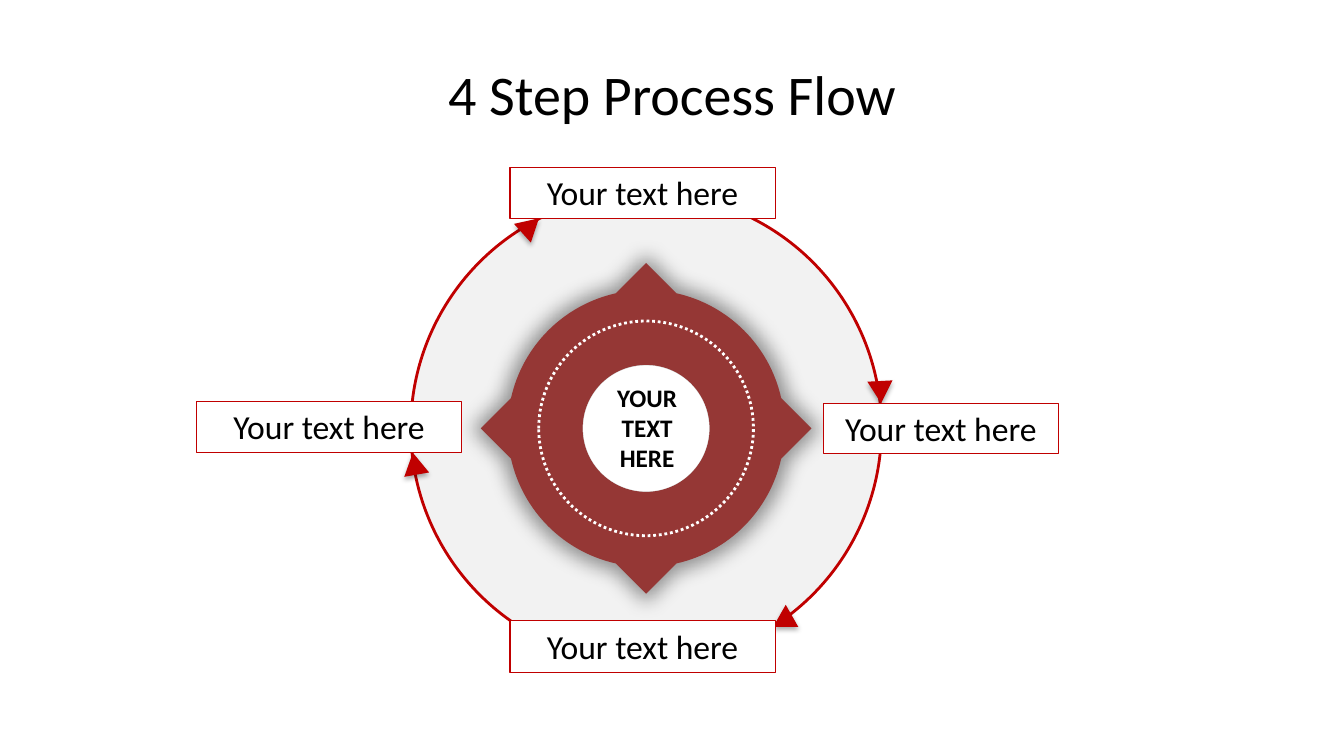
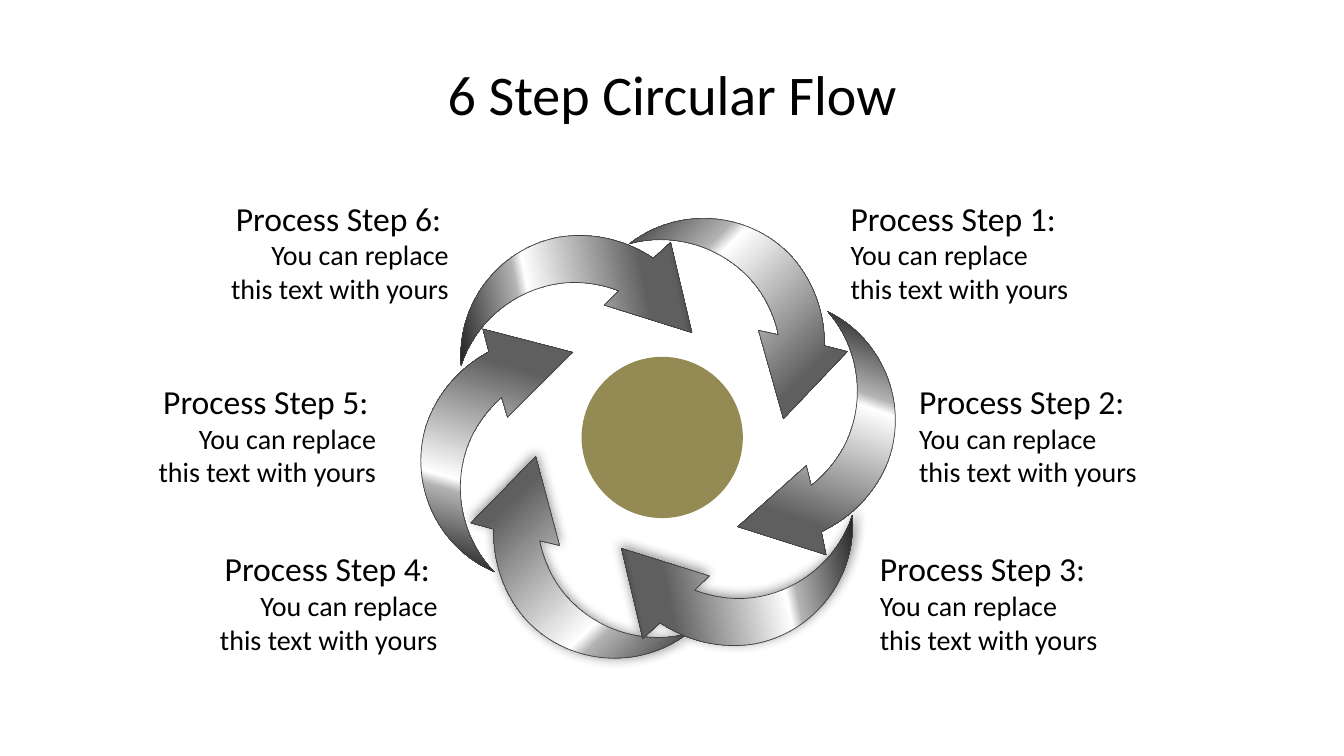
from math import atan2, cos, hypot, pi, sin, tan

from lxml.etree import SubElement
from pptx import Presentation
from pptx.dml.color import RGBColor
from pptx.enum.dml import MSO_LINE
from pptx.enum.shapes import MSO_SHAPE
from pptx.enum.text import MSO_ANCHOR, MSO_AUTO_SIZE, PP_ALIGN
from pptx.oxml.ns import qn
from pptx.util import Inches, Pt

# Shared look
FONT = "Calibri"
HEX = {"ink": "000000", "white": "FFFFFF", "red": "C00000", "brick": "953735",
       "pale": "F2F2F2", "olive": "948A54", "edge": "404040"}
WIDE, HIGH = 40 / 3, 7.5
TITLE = ((WIDE - 12) / 2, 0.3, 12, 1.25)

# Slide 1: hub, labels and arrow tips
HUB = (6.41, 4.25)
LABEL = "Your text here"
LABELS = [(5.06, 1.66, 2.63, 0.51), (8.17, 4, 2.33, 0.5),
          (5.06, 6.16, 2.63, 0.51), (1.95, 3.98, 2.63, 0.51)]
TIPS = [(5.14, 2.13, 48), (8.61, 3.78, 177), (7.67, 6, 0), (3.99, 4.49, 350)]
# Shadows: alpha %, blur pt, distance pt, angle, scale %
TIP_SHADE = (32, 3.5, 2.2, 90, 100)
HUB_SHADE = (40, 14, 0, 0, 105)

# Slide 2: step texts (left, top, heading, align)
NOTE = "You can replace this text with yours"
STEPS = [(8.34, 1.91, "Process Step 1:", PP_ALIGN.LEFT),
         (9.02, 3.73, "Process Step 2:", PP_ALIGN.LEFT),
         (8.63, 5.39, "Process Step 3:", PP_ALIGN.LEFT),
         (2.03, 5.39, "Process Step 4: ", PP_ALIGN.RIGHT),
         (1.42, 3.73, "Process Step 5: ", PP_ALIGN.RIGHT),
         (2.14, 1.91, "Process Step 6: ", PP_ALIGN.RIGHT)]

# Slide 2: curved arrows (left, top, turn, shade), back to front
ARROW_SHADE = (40, 8, 0, 0, 102)
BACK = [(5.09, 4.62, 316.2, ARROW_SHADE), (5.02, 1.79, 78.6, None),
        (7.67, 3.18, 199.5, None), (6.82, 4.64, 258.6, ARROW_SHADE),
        (6.79, 1.76, 135.4, None)]
FRONT = [(4.19, 3.28, 16.4, None)]
# One upright arrow: single points are lines, triples are Bezier curves
OUTLINE = [[(1.19, 0)], [(0.75, 0.8)], [(0.64, 0.63)],
           [(0.52, 0.82), (0.45, 1.04), (0.45, 1.26)],
           [(0.45, 1.71), (0.7, 2.11), (1.06, 2.31)],
           [(0.46, 2.24), (0, 1.73), (0, 1.12)],
           [(0.01, 0.77), (0.16, 0.46), (0.39, 0.23)], [(0.27, 0.03)]]
STEEL = [(0, "262626"), (11, "5F5F5F"), (21, "5F5F5F"), (63, "FFFFFF"),
         (67, "B2B2B2"), (91, "292929"), (98, "777777"), (100, "EAEAEA")]


def rgb(name):
    return RGBColor.from_string(HEX[name])


def write(frame, *lines, align=PP_ALIGN.CENTER, bold=False,
          anchor=MSO_ANCHOR.TOP, grow=True):
    """Fill a text frame with (text, size) paragraphs."""
    frame.word_wrap = True
    frame.vertical_anchor = anchor
    frame.auto_size = (MSO_AUTO_SIZE.SHAPE_TO_FIT_TEXT if grow
                       else MSO_AUTO_SIZE.NONE)
    for i, (text, size) in enumerate(lines):
        para = frame.add_paragraph() if i else frame.paragraphs[0]
        para.alignment = align
        run = para.add_run()
        run.text = text
        run.font.name, run.font.size, run.font.bold = FONT, Pt(size), bold
        run.font.color.rgb = rgb("ink")


def style(shape, fill=None, line=None, width=1, shade=None):
    """Set fill, outline and an optional outer shadow."""
    if fill:
        shape.fill.solid()
        shape.fill.fore_color.rgb = rgb(fill)
    else:
        shape.fill.background()
    if line:
        shape.line.color.rgb = rgb(line)
        shape.line.width = Pt(width)
    else:
        shape.line.fill.background()
    shape.shadow.inherit = False
    if shade:
        alpha, blur, dist, angle, scale = shade
        effects = shape._element.spPr.find(qn("a:effectLst"))
        outer = SubElement(effects, qn("a:outerShdw"), blurRad=str(Pt(blur)),
                           dist=str(Pt(dist)), dir=str(angle * 60000),
                           sx=str(scale * 1000), sy=str(scale * 1000),
                           algn="ctr", rotWithShape="0")
        color = SubElement(outer, qn("a:srgbClr"), val=HEX["ink"])
        SubElement(color, qn("a:alpha"), val=str(alpha * 1000))
    return shape


def add(slide, kind, box, **look):
    shape = slide.shapes.add_shape(kind, *map(Inches, box))
    return style(shape, **look)


def disc(slide, center, size, **look):
    x, y = center
    box = (x - size / 2, y - size / 2, size, size)
    return add(slide, MSO_SHAPE.OVAL, box, **look)


def free(slide, *loops, **look):
    """Draw closed loops of lines and Bezier curves as one shape."""
    parts = [[(Inches(x), Inches(y)) for x, y in part]
             for loop in loops for part in loop]
    ends = [part[-1] for part in parts]
    pen = slide.shapes.build_freeform(*ends[0], scale=1.0)
    at = 0
    for loop in loops:
        if at:
            pen.move_to(*ends[at])
        pen.add_line_segments(ends[at + 1:at + len(loop)], close=True)
        at += len(loop)
    shape = pen.convert_to_shape()
    left, top = (min(axis) for axis in zip(*ends))
    path = shape._element.spPr.find(".//" + qn("a:path"))
    nodes = [node for node in path if node.tag != qn("a:close")]
    for node, part in zip(nodes, parts):
        if len(part) == 3:
            node.tag = qn("a:cubicBezTo")
            for child in list(node):
                node.remove(child)
            for x, y in part:
                SubElement(node, qn("a:pt"), x=str(x - left), y=str(y - top))
    return style(shape, **look)


def spot(center, radius, angle):
    """Point at an angle, clockwise from the top."""
    return center[0] + radius * sin(angle), center[1] - radius * cos(angle)


def arc(center, radius, start, end):
    """Bezier triple for a clockwise arc."""
    pull = 4 / 3 * tan((end - start) / 4)
    reach, lean = radius * hypot(1, pull), atan2(pull, 1)
    return [spot(center, reach, start + lean), spot(center, reach, end - lean),
            spot(center, radius, end)]


def compass(center, tip=1.64, half=0.3):
    """A round plate with four points."""
    radius, lean = hypot(tip - half, half), atan2(half, tip - half)
    loop = []
    for i in range(4):
        turn = i * pi / 2
        start, end = turn + lean, turn + pi / 2 - lean
        loop += [[spot(center, tip, turn)], [spot(center, radius, start)],
                 arc(center, radius, start, end)]
    return loop


def hole(center, radius):
    return [[spot(center, radius, 0)]] + [
        arc(center, radius, i * pi / 2, (i + 1) * pi / 2) for i in range(4)]


def swoosh(slide, left, top, turn, shade):
    loop = [[(left + x, top + y) for x, y in part] for part in OUTLINE]
    shape = free(slide, loop, line="edge", width=0.5, shade=shade)
    shape.rotation = turn
    shape.fill.gradient()
    grad = shape._element.spPr.find(qn("a:gradFill"))
    for child in list(grad):
        grad.remove(child)
    stops = SubElement(grad, qn("a:gsLst"))
    for place, color in STEEL:
        stop = SubElement(stops, qn("a:gs"), pos=str(place * 1000))
        SubElement(stop, qn("a:srgbClr"), val=color)
    SubElement(grad, qn("a:lin"), ang="5400000", scaled="0")
    grad.set("rotWithShape", "1")


def page(deck, title):
    slide = deck.slides.add_slide(deck.slide_layouts[5])
    head = slide.shapes.title
    head.left, head.top, head.width, head.height = map(Inches, TITLE)
    write(head.text_frame, (title, 40), anchor=MSO_ANCHOR.MIDDLE, grow=False)
    return slide


def note(slide, box, *lines, **form):
    write(slide.shapes.add_textbox(*map(Inches, box)).text_frame, *lines, **form)


def process(deck):
    slide = page(deck, "4 Step Process Flow")
    # Outer ring and its arrow tips
    disc(slide, HUB, 4.67, fill="pale", line="red", width=2)
    for x, y, turn in TIPS:
        tip = add(slide, MSO_SHAPE.ISOSCELES_TRIANGLE, (x, y, 0.25, 0.22),
                  fill="red", shade=TIP_SHADE)
        tip.rotation = turn
    # Hub
    free(slide, hole(HUB, 0.63), compass(HUB), fill="brick", shade=HUB_SHADE)
    disc(slide, HUB, 1.25, fill="white")
    # Labels
    for box in LABELS:
        label = add(slide, MSO_SHAPE.RECTANGLE, box, fill="white", line="red",
                    width=0.75)
        write(label.text_frame, (LABEL, 24))
    # Dotted ring and center text
    ring = disc(slide, HUB, 2.13, line="white", width=2)
    ring.line.dash_style = MSO_LINE.ROUND_DOT
    note(slide, (5.96, 3.74, 0.92, 1.01), ("YOUR TEXT HERE", 18), bold=True)


def circle(deck):
    slide = page(deck, "6 Step Circular Flow")
    # Wheel of arrows around a disc
    for arrow in BACK:
        swoosh(slide, *arrow)
    disc(slide, (6.57, 4.34), 1.6, fill="olive")
    for arrow in FRONT:
        swoosh(slide, *arrow)
    # Step texts
    for x, y, head, align in STEPS:
        note(slide, (x, y, 2.41, 1.18), (head, 24), (NOTE, 20), align=align)


def main():
    deck = Presentation()
    deck.slide_width, deck.slide_height = Inches(WIDE), Inches(HIGH)
    process(deck)
    circle(deck)
    deck.save("out.pptx")


if __name__ == "__main__":
    main()
